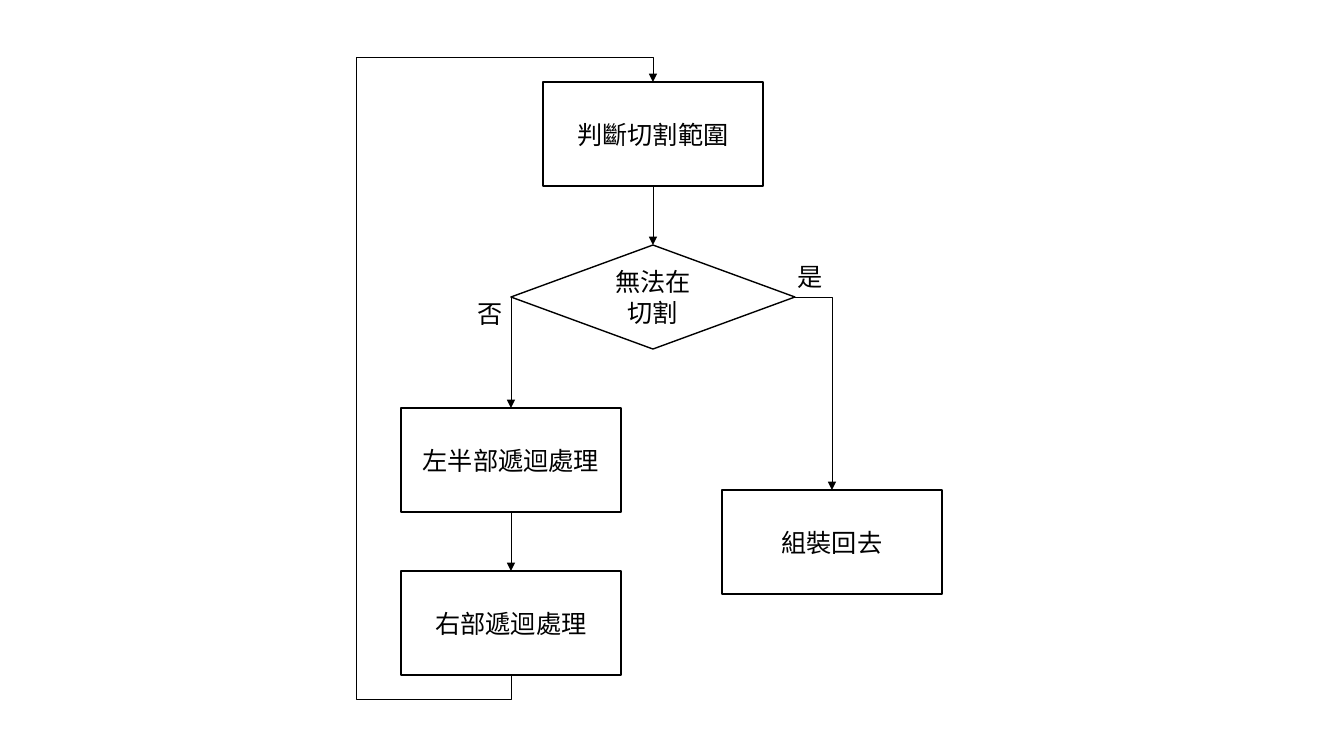
from lxml import etree
from pptx import Presentation
from pptx.dml.color import RGBColor
from pptx.enum.shapes import MSO_CONNECTOR, MSO_SHAPE
from pptx.enum.text import MSO_ANCHOR, PP_ALIGN
from pptx.oxml.ns import qn
from pptx.util import Emu, Pt

PROCESS = MSO_SHAPE.RECTANGLE
DECISION = MSO_SHAPE.FLOWCHART_DECISION
STRAIGHT = MSO_CONNECTOR.STRAIGHT
ELBOW = MSO_CONNECTOR.ELBOW
MIDDLE = MSO_ANCHOR.MIDDLE
CENTER = PP_ALIGN.CENTER
LEFT_ALIGN = PP_ALIGN.LEFT

COLORS = {"ink": "000000", "paper": "FFFFFF"}
NODE_FONT, LABEL_FONT = "Noto Sans CJK SC", "Calibri"
EMU_PER_PIXEL = 914400 / 100.8
SLIDE_WIDTH, SLIDE_HEIGHT = 1344, 756

# Connection sites of rectangles and decisions
TOP, LEFT, BOTTOM, RIGHT = range(4)

NODE_WIDTH, NODE_HEIGHT = 220, 104
DECISION_WIDTH = 284
FIRST_ROW, ROW_STEP = 82, 163
MAIN_X, LOOP_X, END_X = 653, 511, 832
RETURN_X, RETURN_MARGIN = 356, 25


def pixels(value):
    """Turn pixels into EMU."""
    return Emu(round(value * EMU_PER_PIXEL))


def row_top(row):
    """Give the top of a row of the chart; half rows are allowed."""
    return round(FIRST_ROW + row * ROW_STEP)


class Flowchart:
    """Hold the style and the current slide, and draw its elements."""

    def __init__(self, presentation):
        """Add a blank slide to draw on."""
        self.slide = presentation.slides.add_slide(presentation.slide_layouts[6])
        self.ink = RGBColor.from_string(COLORS["ink"])
        self.paper = RGBColor.from_string(COLORS["paper"])

    def add_text(self, frame, text, font=NODE_FONT, size=18, align=CENTER):
        """Set each line of the text as one paragraph."""
        for index, line in enumerate(text.split("\n")):
            paragraph = frame.paragraphs[0] if index == 0 else frame.add_paragraph()
            paragraph.alignment = align
            run = paragraph.add_run()
            run.text = line
            run.font.size = Pt(size)
            run.font.color.rgb = self.ink
            run.font.name = font
            properties = run.font._element
            etree.SubElement(properties, qn("a:ea"), typeface=font)

    def node(self, text, center_x, row, kind=PROCESS, width=NODE_WIDTH):
        """Draw one step, centred on a column of the chart."""
        shape = self.slide.shapes.add_shape(
            kind, pixels(center_x - width / 2), pixels(row_top(row)),
            pixels(width), pixels(NODE_HEIGHT))
        shape.shadow.inherit = False
        shape.fill.solid()
        shape.fill.fore_color.rgb = self.paper
        shape.line.color.rgb = self.ink
        shape.line.width = Pt(1)
        shape.text_frame.word_wrap = True
        shape.text_frame.vertical_anchor = MIDDLE
        self.add_text(shape.text_frame, text)
        return shape

    def label(self, text, left, top):
        """Name a branch of the decision."""
        box = self.slide.shapes.add_textbox(
            pixels(left), pixels(top), pixels(89), pixels(40))
        box.text_frame.word_wrap = True
        self.add_text(box.text_frame, text, font=LABEL_FONT, align=LEFT_ALIGN)

    def arrow(self, start, start_site, end, end_site, kind=STRAIGHT):
        """Join two nodes with an arrow."""
        connector = self.slide.shapes.add_connector(kind, 0, 0, 0, 0)
        connector.begin_connect(start, start_site)
        connector.end_connect(end, end_site)
        connector.line.color.rgb = self.ink
        connector.line.width = Pt(0.5)
        line = connector.line._get_or_add_ln()
        etree.SubElement(line, qn("a:tailEnd"), type="triangle")
        etree.SubElement(connector._element.spPr, qn("a:effectLst"))
        return connector

    def corner_arrow(self, start, start_site, end, end_site):
        """Join two nodes with an arrow that turns once."""
        connector = self.arrow(start, start_site, end, end_site, kind=ELBOW)
        connector._element.spPr.find(qn("a:prstGeom")).set("prst", "bentConnector2")

    def return_arrow(self, start, end):
        """Lead from the bottom of start around the left to the top of end."""
        connector = self.arrow(start, BOTTOM, end, TOP, kind=ELBOW)
        start_x = start.left + start.width // 2
        end_x = end.left + end.width // 2
        start_y, end_y = start.top + start.height, end.top
        across, along = end_x - start_x, start_y - end_y
        # A quarter turn swaps width and height about the same centre
        connector.left = Emu((start_x + end_x - along) // 2)
        connector.top = Emu((start_y + end_y - across) // 2)
        connector.width, connector.height = Emu(along), Emu(across)
        properties = connector._element.spPr
        frame = properties.find(qn("a:xfrm"))
        for name, value in (("rot", "5400000"), ("flipH", "1"), ("flipV", "1")):
            frame.set(name, value)
        geometry = properties.find(qn("a:prstGeom"))
        geometry.set("prst", "bentConnector5")
        margin = pixels(RETURN_MARGIN) / along
        detour = (pixels(RETURN_X) - start_x) / across
        guides = geometry.find(qn("a:avLst"))
        for index, share in enumerate((-margin, detour, 1 + margin), start=1):
            etree.SubElement(guides, qn("a:gd"), name=f"adj{index}",
                             fmla=f"val {round(share * 100000)}")


def main():
    """Build the flowchart slide and save it."""
    presentation = Presentation()
    presentation.slide_width = pixels(SLIDE_WIDTH)
    presentation.slide_height = pixels(SLIDE_HEIGHT)
    chart = Flowchart(presentation)

    find_range = chart.node("判斷切割範圍", MAIN_X, 0)
    can_split = chart.node("無法在\n切割", MAIN_X, 1, kind=DECISION, width=DECISION_WIDTH)
    assemble = chart.node("組裝回去", END_X, 2.5)
    left_half = chart.node("左半部遞迴處理", LOOP_X, 2)
    right_half = chart.node("右部遞迴處理", LOOP_X, 3)

    chart.arrow(find_range, BOTTOM, can_split, TOP)
    chart.corner_arrow(can_split, RIGHT, assemble, TOP)
    chart.arrow(can_split, LEFT, left_half, TOP)
    chart.arrow(left_half, BOTTOM, right_half, TOP)
    chart.return_arrow(right_half, find_range)

    chart.label("是", 788, 256)
    chart.label("否", 468, 293)
    presentation.save("out.pptx")


main()
